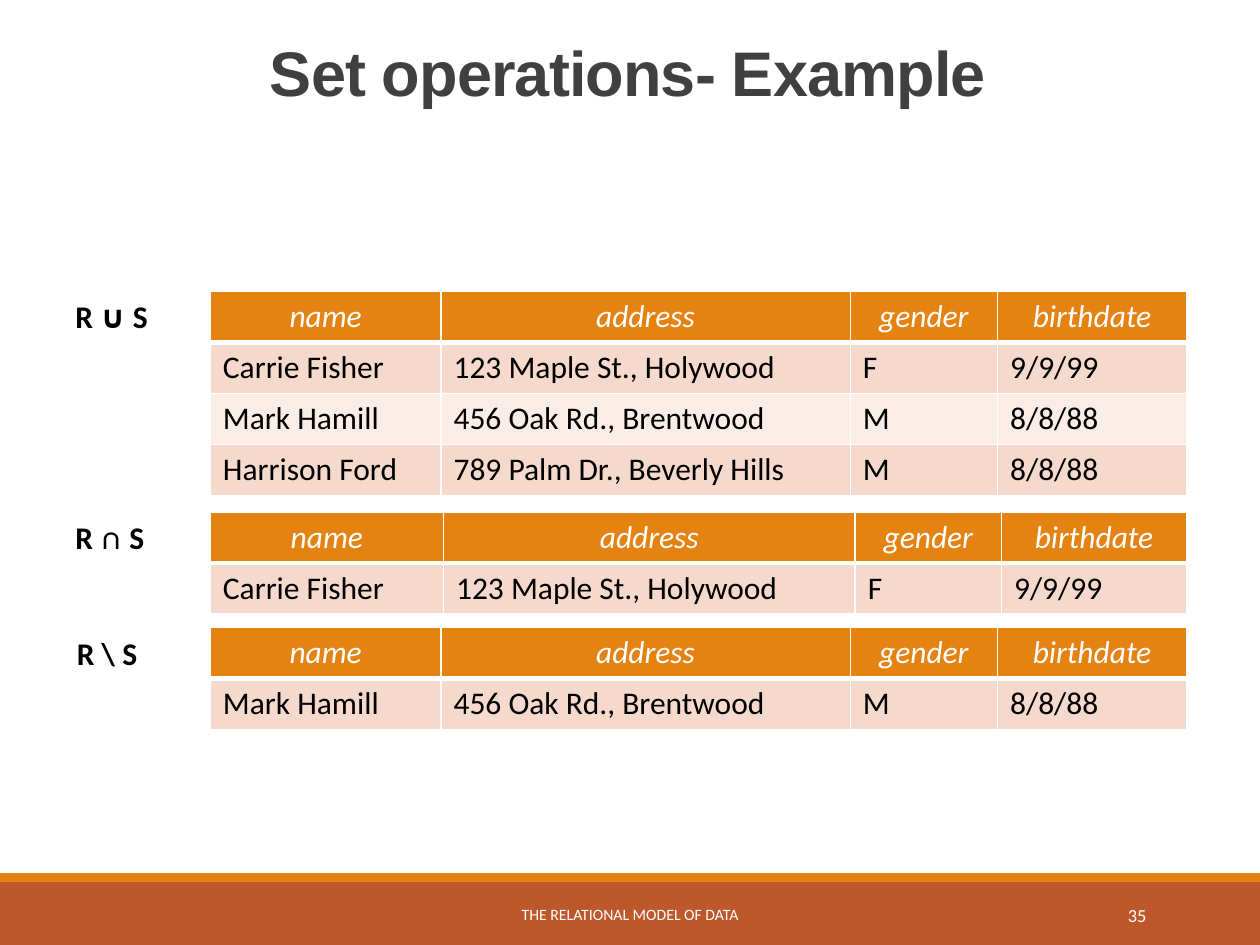
from dataclasses import dataclass

from lxml.etree import SubElement
from pptx import Presentation
from pptx.dml.color import RGBColor
from pptx.enum.shapes import MSO_SHAPE
from pptx.enum.text import MSO_ANCHOR, PP_ALIGN
from pptx.oxml.ns import qn
from pptx.slide import Slide
from pptx.table import _Cell
from pptx.util import Cm, Pt

WHITE, BLACK, GREY = "FFFFFF", "000000", "404040"
ORANGE, RUST = "E48312", "BD582C"
BAND_FILLS = ("F5D9CC", "FAEDE7")
HEADINGS = ("name", "address", "gender", "birthdate")
CARRIE = ("Carrie Fisher", "123 Maple St., Holywood", "F", "9/9/99")
MARK = ("Mark Hamill", "456 Oak Rd., Brentwood", "M", "8/8/88")
HARRISON = ("Harrison Ford", "789 Palm Dr., Beverly Hills", "M", "8/8/88")
TABLE_LEFT, ROW_HEIGHT = 4.24, 1.03
WIDE_COLUMNS = (4.65, 8.25, 2.97, 3.81)
SHIFTED_COLUMNS = (4.7, 8.3, 2.95, 3.73)


@dataclass(frozen=True)
class TextStyle:
    size: float
    color: str
    font: str = "Calibri"
    bold: bool = False
    italic: bool = False
    align: PP_ALIGN = PP_ALIGN.LEFT


@dataclass(frozen=True)
class Relation:
    label: str
    label_left: float
    top: float
    columns: tuple[float, ...]
    rows: tuple[tuple[str, ...], ...]


HEADER_STYLE = TextStyle(18, WHITE, italic=True, align=PP_ALIGN.CENTER)
BODY_STYLE = TextStyle(18, BLACK)
LABEL_STYLE = TextStyle(18, BLACK, bold=True)
RELATIONS = (
    Relation("R ∪ S", 1.27, 5.87, WIDE_COLUMNS, (CARRIE, MARK, HARRISON)),
    Relation("R ∩ S", 1.27, 10.32, SHIFTED_COLUMNS, (CARRIE,)),
    Relation("R \\ S", 1.3, 12.65, WIDE_COLUMNS, (MARK,)),
)


def color(value: str) -> RGBColor:
    return RGBColor.from_string(value)


def write(text_frame, text: str, style: TextStyle) -> None:
    text_frame.text = text
    para = text_frame.paragraphs[0]
    para.alignment = style.align
    for span in para.runs:
        span.font.name = style.font
        span.font.size = Pt(style.size)
        span.font.bold = style.bold
        span.font.italic = style.italic
        span.font.color.rgb = color(style.color)


def add_text(slide: Slide, text: str, left: float, top: float, width: float,
             height: float, style: TextStyle, anchor=MSO_ANCHOR.TOP):
    box = slide.shapes.add_textbox(Cm(left), Cm(top), Cm(width), Cm(height))
    box.text_frame.word_wrap = True
    box.text_frame.vertical_anchor = anchor
    write(box.text_frame, text, style)
    return box


def add_bar(slide: Slide, top: float, height: float, fill: str) -> None:
    bar = slide.shapes.add_shape(MSO_SHAPE.RECTANGLE, 0, Cm(top), Cm(25.4), Cm(height))
    bar.shadow.inherit = False
    bar.fill.solid()
    bar.fill.fore_color.rgb = color(fill)
    bar.line.fill.background()


def format_cell(cell: _Cell, text: str, style: TextStyle, fill: str,
                bottom_border: float) -> None:
    write(cell.text_frame, text, style)
    properties = cell._tc.get_or_add_tcPr()
    for side, points in (("L", 1), ("R", 1), ("T", 1), ("B", bottom_border)):
        border = SubElement(properties, qn(f"a:ln{side}"), w=str(Pt(points)))
        border_fill = SubElement(border, qn("a:solidFill"))
        SubElement(border_fill, qn("a:srgbClr"), val=WHITE)
    cell.fill.solid()
    cell.fill.fore_color.rgb = color(fill)


def add_relation(slide: Slide, relation: Relation) -> None:
    """Draw a relation's label and the table beside it."""
    add_text(slide, relation.label, relation.label_left, relation.top, 2.26, 1.02,
             LABEL_STYLE)
    lines = (HEADINGS, *relation.rows)
    table = slide.shapes.add_table(
        len(lines), len(HEADINGS), Cm(TABLE_LEFT), Cm(relation.top),
        Cm(sum(relation.columns)), Cm(ROW_HEIGHT * len(lines))).table
    table.horz_banding = False
    for column, width in zip(table.columns, relation.columns):
        column.width = Cm(width)
    for row_index, values in enumerate(lines):
        table.rows[row_index].height = Cm(ROW_HEIGHT)
        for column_index, value in enumerate(values):
            cell = table.cell(row_index, column_index)
            if row_index == 0:
                format_cell(cell, value, HEADER_STYLE, ORANGE, 3)
            else:
                fill = BAND_FILLS[(row_index - 1) % len(BAND_FILLS)]
                format_cell(cell, value, BODY_STYLE, fill, 1)


def main() -> None:
    deck = Presentation()
    deck.slide_width, deck.slide_height = Cm(25.4), Cm(19.05)
    page = deck.slides.add_slide(deck.slide_layouts[6])

    add_bar(page, 17.78, 1.27, RUST)
    add_bar(page, 17.6, 0.18, ORANGE)

    title = add_text(page, "Set operations- Example", 1.63, 0.79, 22.05, 2.95,
                     TextStyle(36, GREY, "Arial", bold=True, align=PP_ALIGN.CENTER))
    title_para = title.text_frame.paragraphs[0]
    title_para.line_spacing = 0.85
    title_para.runs[0].font._element.set("spc", "-50")

    add_text(page, "THE RELATIONAL MODEL OF DATA", 7.67, 17.93, 10.06, 1.02,
             TextStyle(9, WHITE, align=PP_ALIGN.CENTER), MSO_ANCHOR.MIDDLE)
    add_text(page, "35", 20.62, 17.93, 2.74, 1.02,
             TextStyle(10.5, WHITE, align=PP_ALIGN.RIGHT), MSO_ANCHOR.MIDDLE)

    for relation in RELATIONS:
        add_relation(page, relation)

    deck.save("out.pptx")


if __name__ == "__main__":
    main()
